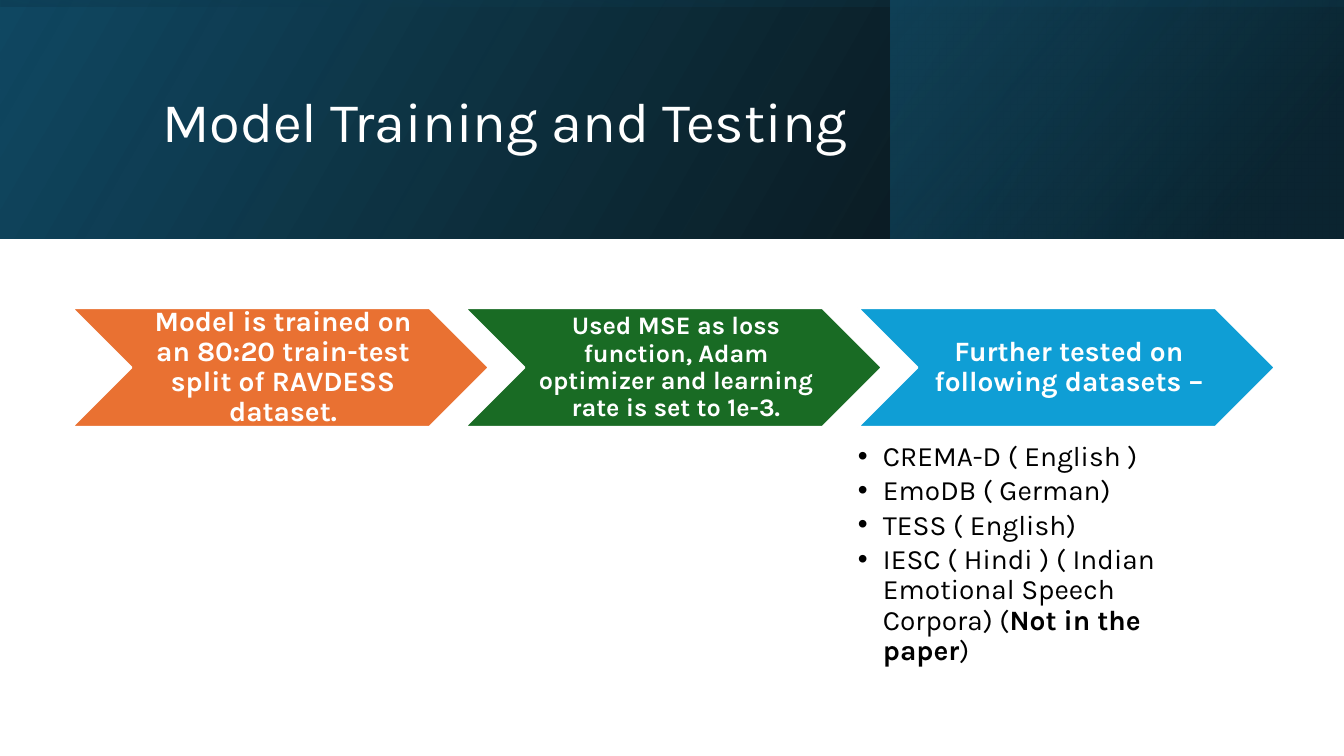
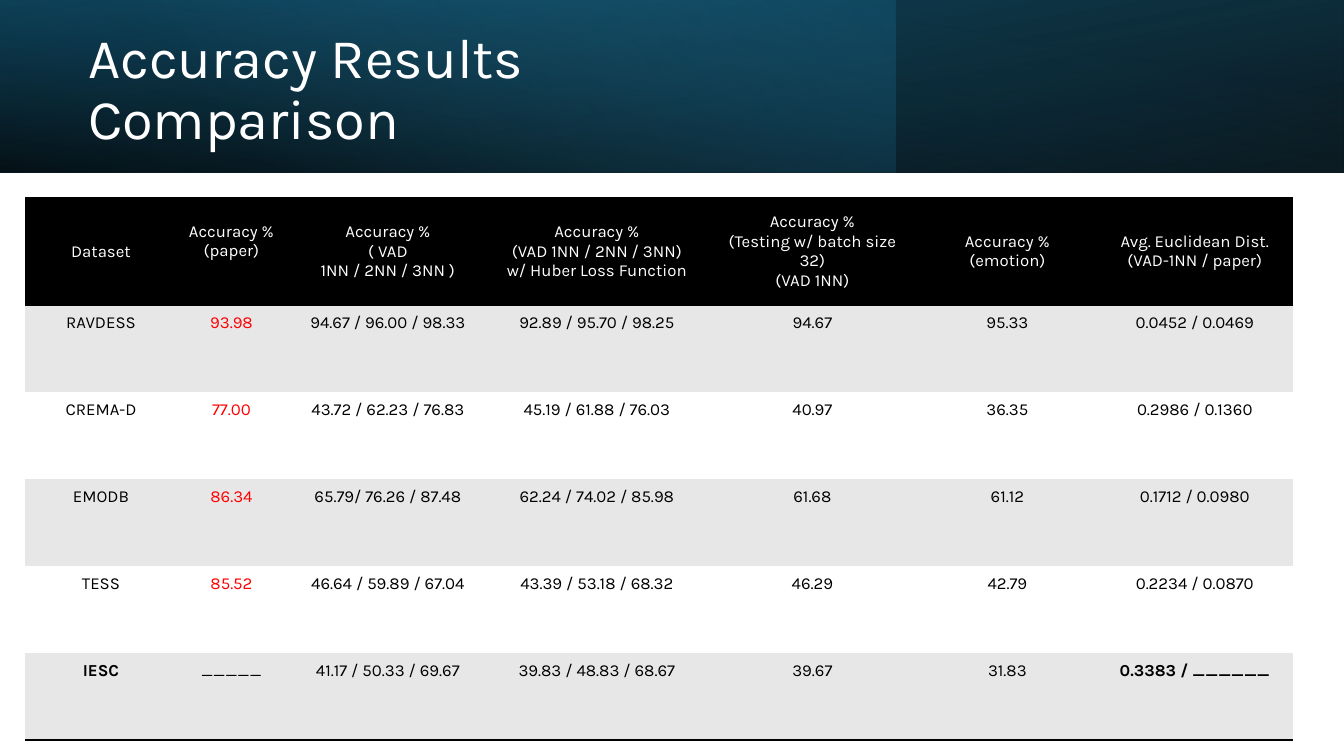
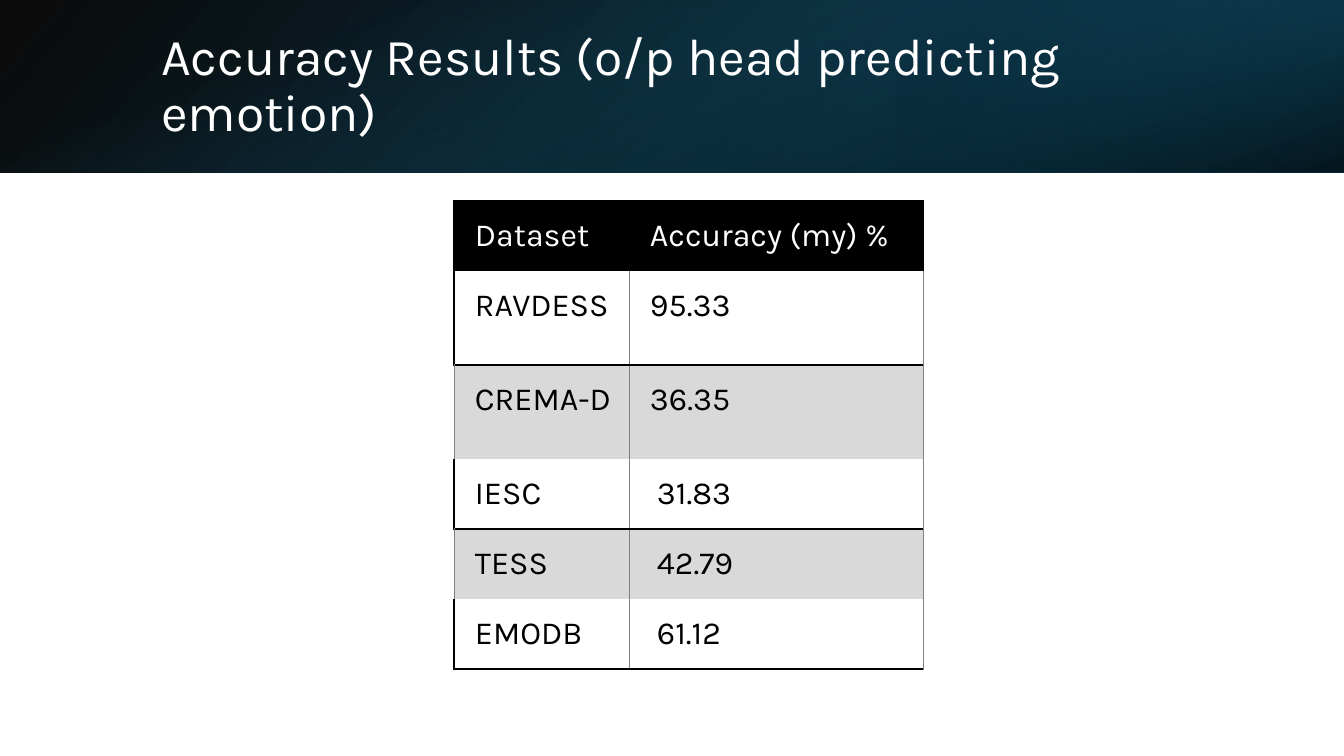
from dataclasses import dataclass

from lxml import etree
from pptx import Presentation
from pptx.dml.color import RGBColor
from pptx.enum.shapes import MSO_SHAPE
from pptx.enum.text import MSO_ANCHOR, MSO_AUTO_SIZE, PP_ALIGN
from pptx.oxml.ns import qn
from pptx.util import Pt

RECTANGLE, CHEVRON = MSO_SHAPE.RECTANGLE, MSO_SHAPE.CHEVRON
TOP, MIDDLE = MSO_ANCHOR.TOP, MSO_ANCHOR.MIDDLE
LEFT, CENTER = PP_ALIGN.LEFT, PP_ALIGN.CENTER
NO_AUTOFIT = MSO_AUTO_SIZE.NONE

EMU_PER_PX = 914400 / 100.8
SLIDE_WIDTH, SLIDE_HEIGHT = 1344, 756
FONT = "Karla"
PLAIN_TABLE_STYLE = "{2D5ABB26-0587-4C30-8999-92F81FD0307C}"
COLOURS = {
    "black": "000000",
    "white": "FFFFFF",
    "red": "FF0000",
    "grey": "808080",
    "light_stripe": "E7E7E7",
    "dark_stripe": "D9D9D9",
    "orange": "E97132",
    "green": "196B24",
    "blue": "0F9ED5",
    "navy": "104862",
    "deep": "0B3041",
    "teal": "156082",
    "sky": "46B1E1",
}


@dataclass(frozen=True)
class Box:
    """A rectangle in px."""

    left: int
    top: int
    width: int
    height: int


@dataclass(frozen=True)
class Stop:
    """A gradient stop with its position and opacity in percent."""

    position: int
    colour: str
    opacity: int = 100


@dataclass(frozen=True)
class Band:
    """A gradient layer of the title band, placed by its visible box."""

    box: Box
    angle: int
    stops: tuple[Stop, Stop]
    rotation: int = 0
    flipped: bool = True


@dataclass(frozen=True)
class Step:
    """One chevron of the process."""

    colour: str
    text: str
    size: int


@dataclass(frozen=True)
class Edge:
    """A cell border with its width in points."""

    colour: str
    width: float


@dataclass(frozen=True)
class CellStyle:
    """The look of the text and fill of a table cell."""

    size: int
    fill: str
    margin: int
    left_margin: int
    colour: str = "black"
    bold: bool = False
    alignment: PP_ALIGN = LEFT
    anchor: MSO_ANCHOR = TOP


TALL, LOW = Box(0, 0, SLIDE_WIDTH, 239), Box(0, 0, SLIDE_WIDTH, 173)
BASE_STOPS = (Stop(0, "black", 96), Stop(100, "navy"))
TRAINING_BANDS = (
    Band(TALL, 330, BASE_STOPS),
    Band(Box(891, 0, 452, 239), 320, (Stop(19, "deep", 68), Stop(100, "teal", 48))),
    Band(TALL, 350, (Stop(23, "navy", 16), Stop(99, "black", 45)), 270),
)
COMPARISON_BANDS = (
    Band(LOW, 100, BASE_STOPS, 180),
    Band(Box(0, 0, 896, 173), 140, (Stop(0, "teal", 41), Stop(74, "sky", 0)), flipped=False),
    Band(LOW, 260, (Stop(0, "black", 63), Stop(78, "teal", 15))),
)
EMOTION_BANDS = (
    Band(LOW, 140, BASE_STOPS),
    Band(Box(896, 0, 448, 173), 320, (Stop(19, "deep", 68), Stop(100, "teal", 79)), 180),
    Band(LOW, 340, (Stop(23, "teal", 0), Stop(99, "black", 74)), 90, False),
)
STEPS = (
    Step("orange", "Model is trained on an 80:20 train-test split of RAVDESS dataset.", 20),
    Step("green", "Used MSE as loss function, Adam optimizer and learning rate is set to 1e-3.", 18),
    Step("blue", "Further tested on following datasets –", 20),
)
DATASETS = (
    ("CREMA-D ( English )",),
    ("EmoDB ( German)",),
    ("TESS ( English)",),
    ("IESC ( Hindi ) ( Indian Emotional Speech Corpora) (", "Not in the paper", ")"),
)
COMPARISON = (
    (
        "Dataset",
        "Accuracy %\n(paper)",
        "Accuracy %\n( VAD\n1NN / 2NN / 3NN )",
        "Accuracy %\n(VAD 1NN / 2NN / 3NN)\nw/ Huber Loss Function",
        "Accuracy %\n(Testing w/ batch size 32)\n(VAD 1NN)",
        "Accuracy %\n(emotion)",
        "Avg. Euclidean Dist.\n(VAD-1NN / paper)",
    ),
    ("RAVDESS", "93.98", "94.67 / 96.00 / 98.33", "92.89 / 95.70 / 98.25", "94.67", "95.33", "0.0452 / 0.0469"),
    ("CREMA-D", "77.00", "43.72 / 62.23 / 76.83", "45.19 / 61.88 / 76.03", "40.97", "36.35", "0.2986 / 0.1360"),
    ("EMODB", "86.34", "65.79/ 76.26 / 87.48", "62.24 / 74.02 / 85.98", "61.68", "61.12", "0.1712 / 0.0980"),
    ("TESS", "85.52", "46.64 / 59.89 / 67.04", "43.39 / 53.18 / 68.32", "46.29", "42.79", "0.2234 / 0.0870"),
    ("IESC", "_____", "41.17 / 50.33 / 69.67", "39.83 / 48.83 / 68.67", "39.67", "31.83", "0.3383 / ______"),
)
EMOTION = (
    ("Dataset", "Accuracy (my) %"),
    ("RAVDESS", "95.33"),
    ("CREMA-D", "36.35"),
    ("IESC", "31.83"),
    ("TESS", "42.79"),
    ("EMODB", "61.12"),
)


def px(length: float) -> int:
    """Turn px into EMU."""
    return round(length * EMU_PER_PX)


def place(box: Box) -> tuple[int, int, int, int]:
    """Give the EMU position and size of a box."""
    return px(box.left), px(box.top), px(box.width), px(box.height)


def rgb(name: str) -> RGBColor:
    """Look up a colour by name."""
    return RGBColor.from_string(COLOURS[name])


def set_font(paragraph, size: int, colour: str, bold: bool = False) -> None:
    """Format the font of a whole paragraph."""
    font = paragraph.font
    font.name, font.size, font.bold = FONT, Pt(size), bold
    font.color.rgb = rgb(colour)


def add_colour(parent, name: str):
    """Append a colour element."""
    return etree.SubElement(parent, qn("a:srgbClr"), val=COLOURS[name])


def add_band(slide, band: Band) -> None:
    """Draw one gradient layer."""
    box = band.box
    if band.rotation % 180:
        shift = (box.width - box.height) / 2
        frame = (px(box.left + shift), px(box.top - shift), px(box.height), px(box.width))
    else:
        frame = place(box)
    shape = slide.shapes.add_shape(RECTANGLE, *frame)
    shape.shadow.inherit = False
    shape.line.fill.background()
    shape.rotation = band.rotation
    properties = shape.element.spPr
    if band.flipped:
        properties.find(qn("a:xfrm")).set("flipH", "1")
    gradient = etree.Element(qn("a:gradFill"))
    stop_list = etree.SubElement(gradient, qn("a:gsLst"))
    for stop in band.stops:
        item = etree.SubElement(stop_list, qn("a:gs"), pos=str(stop.position * 1000))
        colour = add_colour(item, stop.colour)
        if stop.opacity < 100:
            etree.SubElement(colour, qn("a:alpha"), val=str(stop.opacity * 1000))
    etree.SubElement(gradient, qn("a:lin"), ang=str(band.angle * 60000), scaled="0")
    properties.find(qn("a:prstGeom")).addnext(gradient)


def add_titled_slide(presentation, text: str, box: Box, size: int, bands: tuple[Band, ...]):
    """Add a slide with a gradient band and its title on top."""
    slide = presentation.slides.add_slide(presentation.slide_layouts[5])
    for band in bands:
        add_band(slide, band)
    title = slide.shapes.title
    slide.shapes.element.append(title.element)
    title.left, title.top, title.width, title.height = place(box)
    frame = title.text_frame
    frame.text = text
    frame.auto_size = NO_AUTOFIT
    frame.vertical_anchor = MIDDLE
    paragraph = frame.paragraphs[0]
    paragraph.alignment, paragraph.line_spacing = LEFT, 0.9
    set_font(paragraph, size, "white")
    return slide


def add_text_frame(slide, box: Box, margins: tuple[int, int, int, int], anchor: MSO_ANCHOR):
    """Add a wrapping text box and return its frame."""
    frame = slide.shapes.add_textbox(*place(box)).text_frame
    frame.word_wrap = True
    frame.vertical_anchor = anchor
    frame.margin_left, frame.margin_top, frame.margin_right, frame.margin_bottom = map(px, margins)
    return frame


def add_step(slide, step: Step, left: int) -> None:
    """Draw a chevron with its label."""
    chevron = slide.shapes.add_shape(CHEVRON, *place(Box(left, 308, 417, 119)))
    chevron.shadow.inherit = False
    chevron.fill.solid()
    chevron.fill.fore_color.rgb = rgb(step.colour)
    chevron.line.color.rgb = rgb("white")
    chevron.line.width = Pt(1.5)
    frame = add_text_frame(slide, Box(left + 59, 308, 298, 119), (9, 3, 3, 3), MIDDLE)
    paragraph = frame.paragraphs[0]
    paragraph.text = step.text
    paragraph.alignment, paragraph.line_spacing = CENTER, 0.9
    set_font(paragraph, step.size, "white", True)


def add_datasets(slide, box: Box) -> None:
    """List the test datasets, with the second run of an item in bold."""
    frame = add_text_frame(slide, box, (0, 0, 0, 0), TOP)
    for index, parts in enumerate(DATASETS):
        paragraph = frame.add_paragraph() if index else frame.paragraphs[0]
        paragraph.line_spacing, paragraph.space_after = 0.9, Pt(3)
        properties = paragraph._p.get_or_add_pPr()
        properties.set("marL", str(px(25)))
        properties.set("indent", str(px(-25)))
        etree.SubElement(properties, qn("a:buFont"), typeface="Arial")
        etree.SubElement(properties, qn("a:buChar"), char="•")
        set_font(paragraph, 20, "black")
        for position, part in enumerate(parts):
            run = paragraph.add_run()
            run.text = part
            if position == 1:
                run.font.bold = True


def add_plain_table(slide, left: int, top: int, columns: tuple[int, ...], rows: tuple[int, ...]):
    """Add a table without a banded style."""
    box = Box(left, top, sum(columns), sum(rows))
    frame = slide.shapes.add_table(len(rows), len(columns), *place(box))
    next(frame.element.iter(qn("a:tableStyleId"))).text = PLAIN_TABLE_STYLE
    table = frame.table
    table.first_row = table.horz_banding = False
    for column, width in zip(table.columns, columns):
        column.width = px(width)
    for row, height in zip(table.rows, rows):
        row.height = px(height)
    return table


def fill_cell(cell, text: str, style: CellStyle, edges: dict[str, Edge]) -> None:
    """Write and format a cell; edges are keyed L, R, T and B."""
    properties = cell._tc.get_or_add_tcPr()
    for side in "LRTB":
        if side in edges:
            line = etree.SubElement(properties, qn(f"a:ln{side}"), w=str(Pt(edges[side].width)))
            add_colour(etree.SubElement(line, qn("a:solidFill")), edges[side].colour)
    cell.fill.solid()
    cell.fill.fore_color.rgb = rgb(style.fill)
    cell.margin_left = px(style.left_margin)
    cell.margin_top = cell.margin_right = cell.margin_bottom = px(style.margin)
    cell.vertical_anchor = style.anchor
    cell.text_frame.text = text
    for paragraph in cell.text_frame.paragraphs:
        paragraph.alignment = style.alignment
        set_font(paragraph, style.size, style.colour, style.bold)


def add_comparison_table(slide) -> None:
    """Draw the accuracy comparison of all variants."""
    table = add_plain_table(slide, 25, 198, (149, 112, 201, 217, 214, 176, 199), (107,) + (87,) * 5)
    rule = Edge("black", 2)
    last_row, last_column = len(COMPARISON) - 1, len(COMPARISON[0]) - 1
    for row, texts in enumerate(COMPARISON):
        for column, text in enumerate(texts):
            if row == 0:
                style = CellStyle(12, "black", 8, 11, "white", False, CENTER, MIDDLE)
                edges = {"T": rule, "B": rule}
            else:
                fill = "light_stripe" if row % 2 else "white"
                colour = "red" if column == 1 and row < last_row else "black"
                bold = row == last_row and column in (0, last_column)
                style = CellStyle(12, fill, 8, 11, colour, bold, CENTER)
                edges = {"B": rule} if row == last_row else {}
            fill_cell(table.cell(row, column), text, style, edges)
    table.cell(0, 1).margin_bottom = px(28)


def add_emotion_table(slide) -> None:
    """Draw the accuracy of the emotion head."""
    table = add_plain_table(slide, 454, 201, (175, 294), (70, 94, 94, 70, 70, 70))
    thick, thin = Edge("black", 1.5), Edge("grey", 0.5)
    for row, texts in enumerate(EMOTION):
        for column, text in enumerate(texts):
            left_margin = 28 if column and row > 2 else 21
            if row == 0:
                style = CellStyle(23, "black", 16, left_margin, "white", anchor=MIDDLE)
                edges = dict.fromkeys("LRT", thick)
            elif row % 2:
                style = CellStyle(23, "white", 16, left_margin)
                edges = {"L": thin if column else thick, "R": thin, "B": thick}
            else:
                style = CellStyle(23, "dark_stripe", 16, left_margin)
                edges = {"L": thin, "R": thin}
            fill_cell(table.cell(row, column), text, style, edges)


def main() -> None:
    """Build the presentation."""
    presentation = Presentation()
    presentation.slide_width, presentation.slide_height = px(SLIDE_WIDTH), px(SLIDE_HEIGHT)

    training = add_titled_slide(
        presentation, "Model Training and Testing", Box(152, 38, 1072, 173), 40, TRAINING_BANDS
    )
    for index, step in enumerate(STEPS):
        add_step(training, step, 72 + index * 393)
    add_datasets(training, Box(858, 442, 334, 233))

    comparison = add_titled_slide(
        presentation, "Accuracy Results Comparison", Box(78, 27, 778, 128), 40, COMPARISON_BANDS
    )
    add_comparison_table(comparison)

    emotion = add_titled_slide(
        presentation,
        "Accuracy Results (o/p head predicting emotion)",
        Box(151, 38, 1107, 97),
        37,
        EMOTION_BANDS,
    )
    add_emotion_table(emotion)
    presentation.save("out.pptx")


if __name__ == "__main__":
    main()
